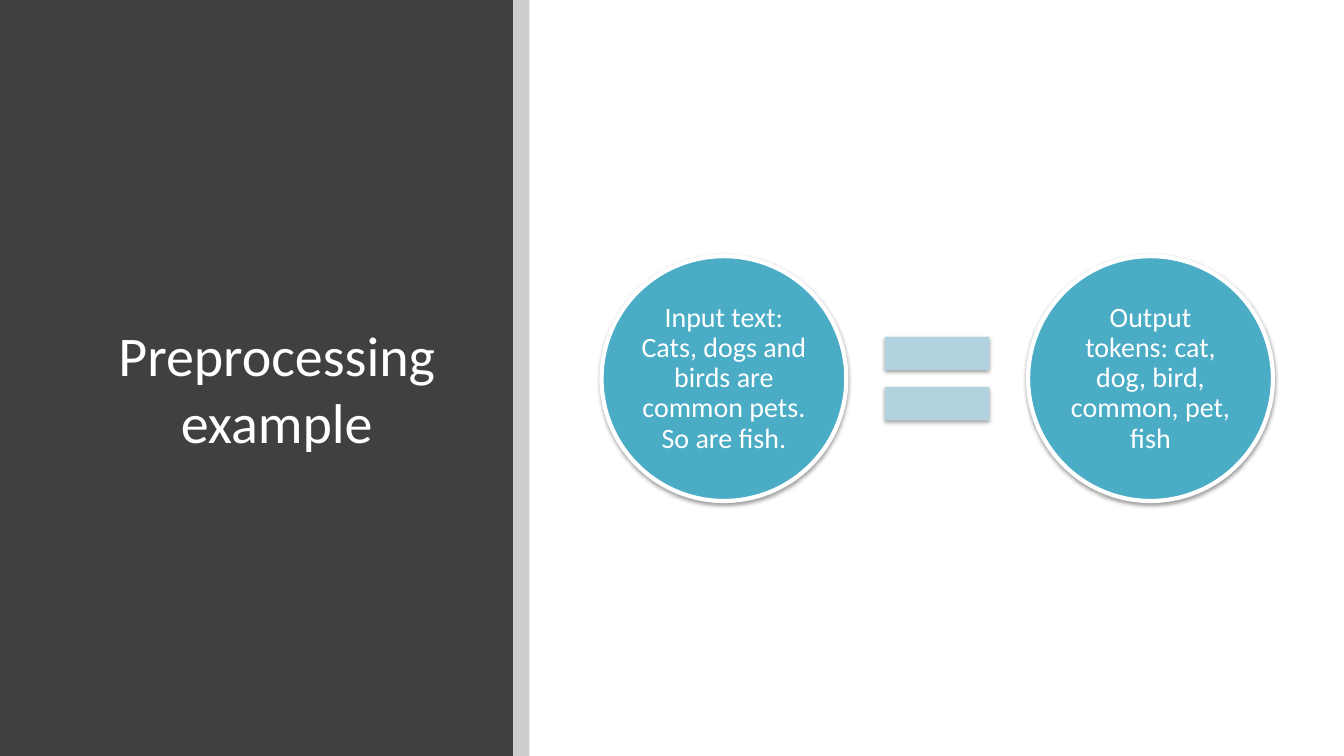
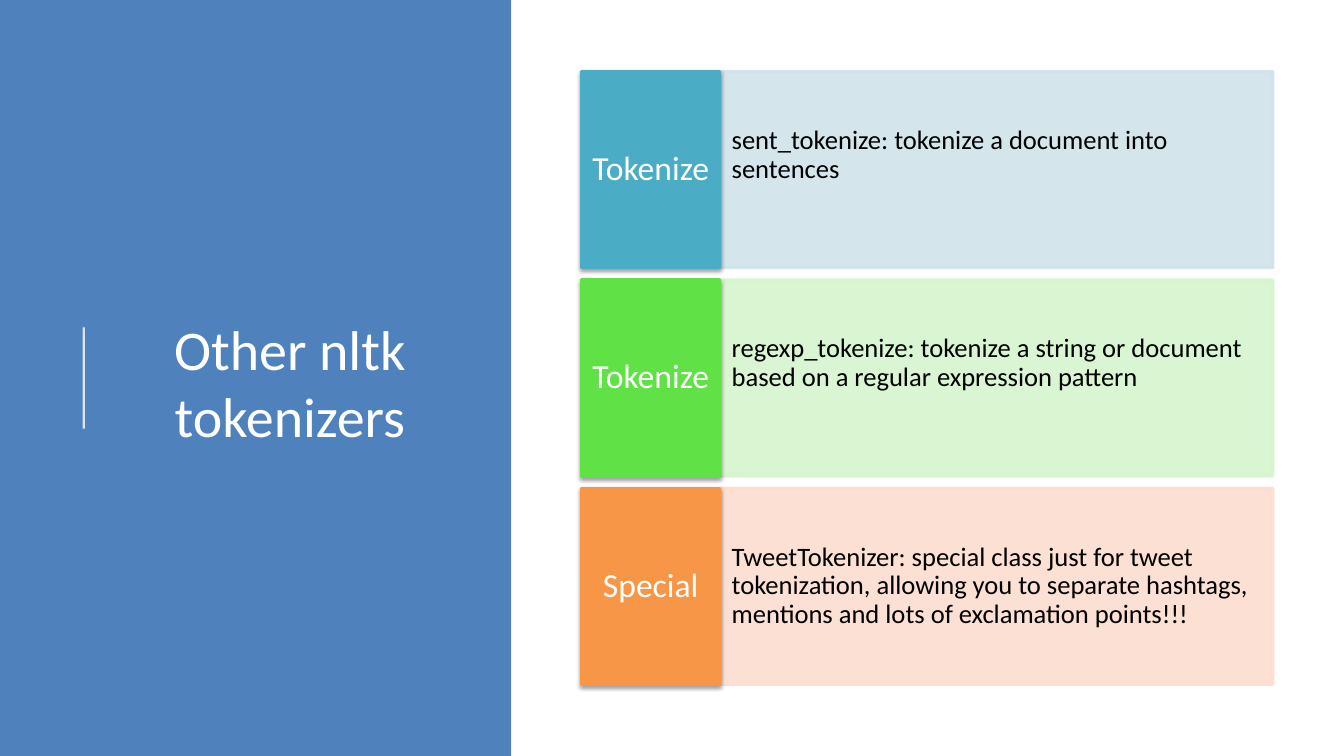
import lxml.etree
import pptx
import pptx.dml.color
import pptx.enum.shapes
import pptx.enum.text
import pptx.oxml.ns
import pptx.util

Cm = pptx.util.Cm
Pt = pptx.util.Pt
RGBColor = pptx.dml.color.RGBColor
SHAPE = pptx.enum.shapes.MSO_SHAPE
ALIGN = pptx.enum.text.PP_ALIGN
MIDDLE = pptx.enum.text.MSO_ANCHOR.MIDDLE
qn = pptx.oxml.ns.qn

WHITE = RGBColor(0xFF, 0xFF, 0xFF)
BLACK = RGBColor(0x00, 0x00, 0x00)
CHARCOAL = RGBColor(0x40, 0x40, 0x40)
BLUE = RGBColor(0x4F, 0x81, 0xBD)
TEAL = RGBColor(0x4B, 0xAC, 0xC6)
GREEN = RGBColor(0x60, 0xE1, 0x46)
ORANGE = RGBColor(0xF7, 0x96, 0x46)
SIGN_TEAL = RGBColor(0xB2, 0xD2, 0xDF)
PALE_TEAL = RGBColor(0xD0, 0xE3, 0xEA)
PALE_GREEN = RGBColor(0xD6, 0xF4, 0xCE)
PALE_ORANGE = RGBColor(0xFC, 0xDD, 0xCF)

SLIDE_W, SLIDE_H = 33.87, 19.05
FONT = "Calibri"
TITLE = {"size": Pt(40), "color": WHITE, "align": ALIGN.CENTER, "spacing": 1.0,
         "margins": (0.25, 0.13, 0.25, 0.13)}
CIRCLE = {"size": Pt(20), "color": WHITE, "align": ALIGN.CENTER, "spacing": 0.9,
          "margins": (0.08, 0.08, 0.08, 0.08)}
LABEL = {"size": Pt(24), "color": WHITE, "align": ALIGN.CENTER, "spacing": 0.9,
         "margins": (0.18, 0.48, 0.18, 0.48)}
BODY = {"size": Pt(19), "color": BLACK, "align": ALIGN.LEFT, "spacing": 0.9,
        "margins": (0.28, 1.27, 0.28, 1.27)}
RAISED_BODY = {**BODY, "margins": (0.28, 1.27, 0.28, 1.99)}


def set_attrs(obj, values):
    for name, value in values.items():
        setattr(obj, name, value)


def set_opacity(spPr, percent):
    for clr in spPr.iter(qn("a:srgbClr")):
        lxml.etree.SubElement(clr, qn("a:alpha"), val=str(percent * 1000))


def add_shadow(spPr):
    effects = spPr.find(qn("a:effectLst"))
    outer = lxml.etree.SubElement(effects, qn("a:outerShdw"), blurRad="40000",
                                  dist="20000", dir="5400000", rotWithShape="0")
    clr = lxml.etree.SubElement(outer, qn("a:srgbClr"), val="000000")
    lxml.etree.SubElement(clr, qn("a:alpha"), val="38000")


def write_text(sp, text, style):
    tf = sp.text_frame
    left, top, right, bottom = (Cm(m) for m in style["margins"])
    set_attrs(tf, {"word_wrap": True, "vertical_anchor": MIDDLE,
                   "margin_left": left, "margin_top": top,
                   "margin_right": right, "margin_bottom": bottom})
    p = tf.paragraphs[0]
    set_attrs(p, {"alignment": style["align"], "line_spacing": style["spacing"]})
    r = p.add_run()
    r.text = text
    set_attrs(r.font, {"name": FONT, "size": style["size"]})
    r.font.color.rgb = style["color"]


def add_block(s, kind, box, fill, line=None, width=2, opacity=100, shadow=False):
    sp = s.shapes.add_shape(kind, *(Cm(v) for v in box))
    sp.shadow.inherit = False
    sp.fill.solid()
    sp.fill.fore_color.rgb = fill
    if line is None:
        sp.line.fill.background()
    else:
        sp.line.color.rgb = line
        sp.line.width = Pt(width)
    if opacity < 100:
        set_opacity(sp._element.spPr, opacity)
    if shadow:
        add_shadow(sp._element.spPr)
    return sp


def add_panel(s, width, fill):
    add_block(s, SHAPE.RECTANGLE, (0, 0, width, SLIDE_H), fill)


def add_title(s, text, box):
    sp = s.shapes.add_textbox(*(Cm(v) for v in box))
    write_text(sp, text, TITLE)


def add_rule(s, x, top, bottom):
    cn = s.shapes.add_connector(pptx.enum.shapes.MSO_CONNECTOR.STRAIGHT,
                                Cm(x), Cm(bottom), Cm(x), Cm(top))
    cn.line.color.rgb = WHITE
    cn.line.width = Pt(1.5)
    spPr = cn._element.spPr
    set_opacity(spPr, 80)
    lxml.etree.SubElement(spPr, qn("a:effectLst"))


def add_equation(s, left_text, right_text):
    x, middle, gap, circle, sign = 15.16, 9.54, 0.5, 6.17, 3.58
    sign_x = x + circle + gap
    for cx, text in ((x, left_text), (sign_x + sign + gap, right_text)):
        sp = add_block(s, SHAPE.OVAL, (cx, middle - circle / 2, circle, circle),
                       TEAL, WHITE, 3, shadow=True)
        write_text(sp, text, CIRCLE)
    add_block(s, SHAPE.MATH_EQUAL, (sign_x, middle - sign / 2, sign, sign),
              SIGN_TEAL, shadow=True)


def add_cards(s, cards):
    top, height, pitch = 1.8, 4.95, 5.25
    for i, (label, text, fill, pale, style) in enumerate(cards):
        y = top + i * pitch
        body = add_block(s, SHAPE.RECTANGLE, (18.16, y, 13.92, height),
                         pale, pale, opacity=90)
        write_text(body, text, style)
        tag = add_block(s, SHAPE.RECTANGLE, (14.66, y, 3.48, height),
                        fill, fill, shadow=True)
        write_text(tag, label, LABEL)


def build_preprocessing(s):
    add_panel(s, 12.93, CHARCOAL)
    add_block(s, SHAPE.RECTANGLE, (12.93, 0, 0.41, SLIDE_H), BLACK, opacity=20)
    add_title(s, "Preprocessing example", (2.34, 2.26, 9.27, 15.01))
    add_equation(s, "Input text: Cats, dogs and birds are common pets. So are fish.",
                 "Output tokens: cat, dog, bird, common, pet, fish")


def build_tokenizers(s):
    add_panel(s, 12.88, BLUE)
    add_rule(s, 2.11, 8.25, 10.8)
    add_title(s, "Other nltk tokenizers", (2.62, 1.98, 9.37, 15.29))
    add_cards(s, [
        ("Tokenize", "sent_tokenize: tokenize a document into sentences",
         TEAL, PALE_TEAL, RAISED_BODY),
        ("Tokenize", "regexp_tokenize: tokenize a string or document based on "
         "a regular expression pattern", GREEN, PALE_GREEN, RAISED_BODY),
        ("Special", "TweetTokenizer: special class just for tweet tokenization, "
         "allowing you to separate hashtags, mentions and lots of exclamation "
         "points!!!", ORANGE, PALE_ORANGE, BODY),
    ])


def main():
    prs = pptx.Presentation()
    set_attrs(prs, {"slide_width": Cm(SLIDE_W), "slide_height": Cm(SLIDE_H)})
    for build in (build_preprocessing, build_tokenizers):
        build(prs.slides.add_slide(prs.slide_layouts[6]))
    prs.save("out.pptx")


if __name__ == "__main__":
    main()
